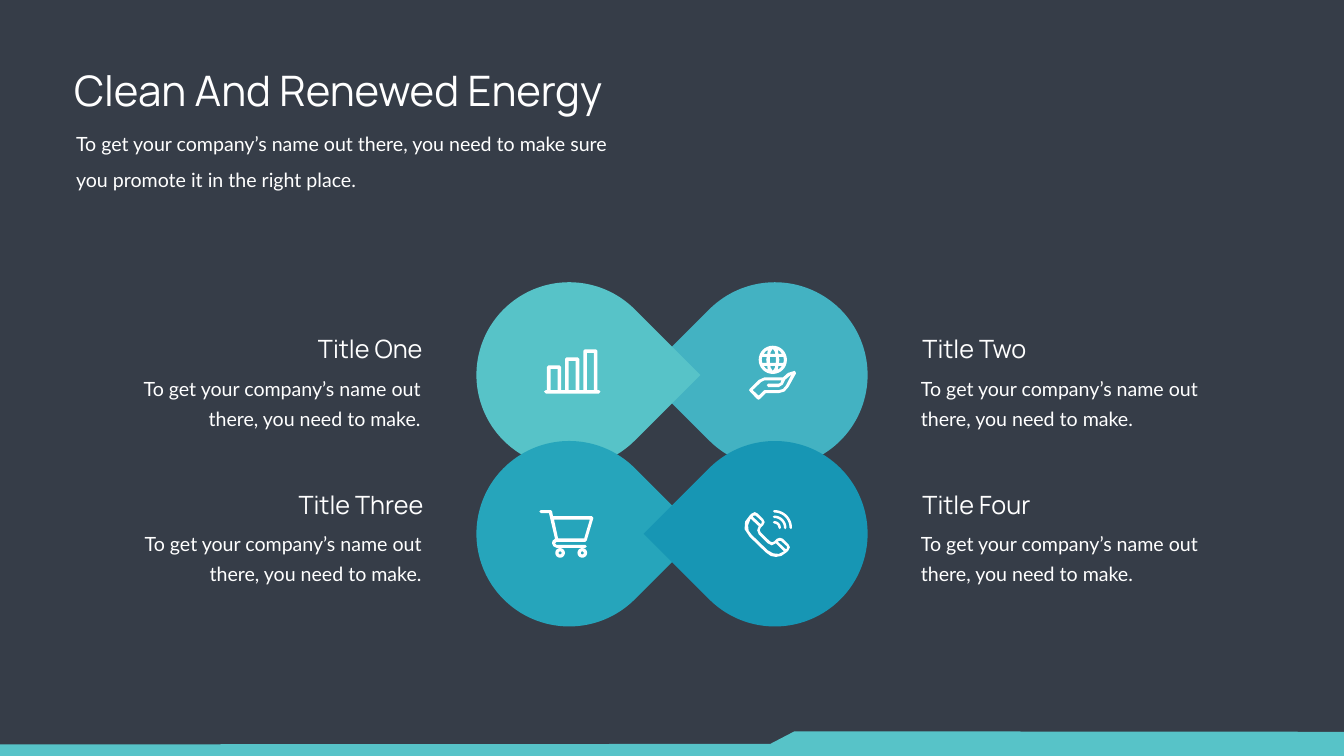
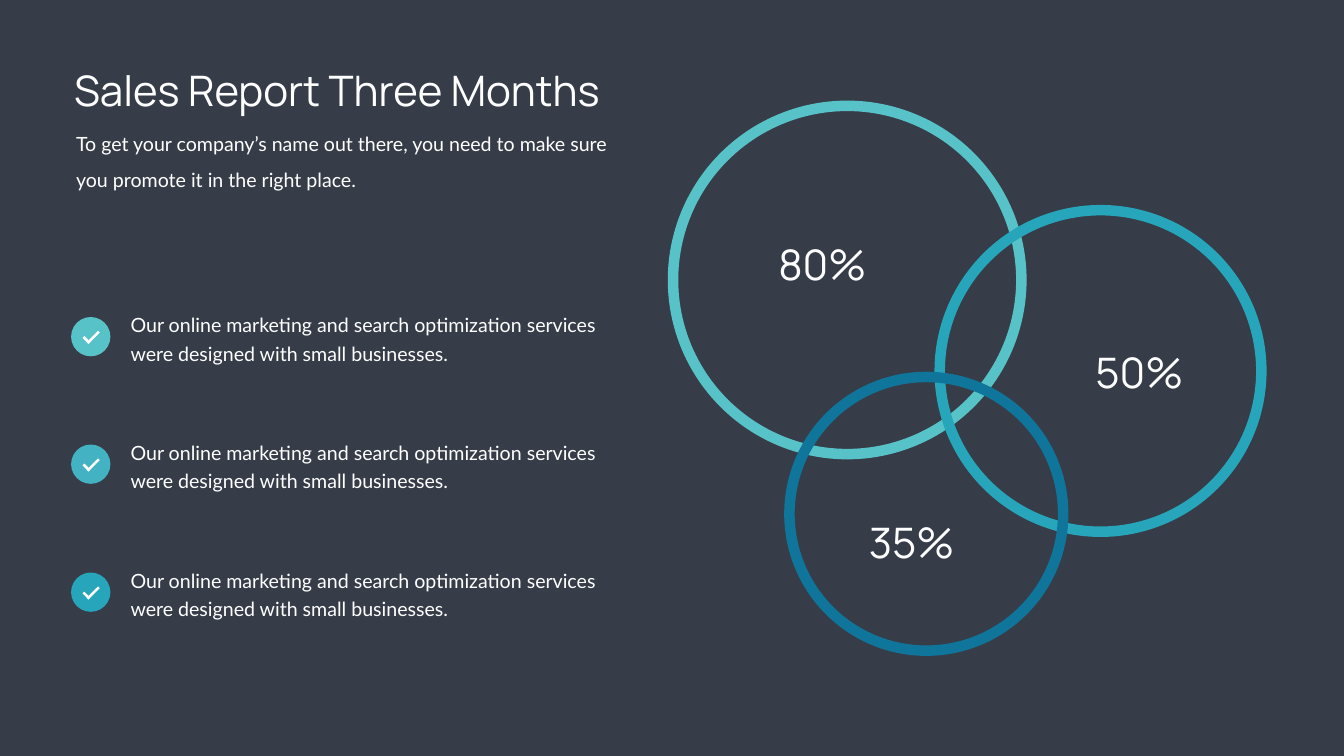
from math import cos, pi, sin

from pptx import Presentation
from pptx.dml.color import RGBColor
from pptx.enum.shapes import MSO_SHAPE
from pptx.enum.text import MSO_ANCHOR, MSO_AUTO_SIZE, PP_ALIGN
from pptx.util import Pt

PX = 9144
WIDTH, HEIGHT = 2666, 1500
LEFT, RIGHT, CENTER = PP_ALIGN.LEFT, PP_ALIGN.RIGHT, PP_ALIGN.CENTER
TOP, GROW = MSO_ANCHOR.TOP, MSO_AUTO_SIZE.SHAPE_TO_FIT_TEXT
OVAL, DROP, RECT = MSO_SHAPE.OVAL, MSO_SHAPE.TEAR, MSO_SHAPE.RECTANGLE

DARK = RGBColor(0x36, 0x3D, 0x48)
WHITE = RGBColor(0xFF, 0xFF, 0xFF)
MINT = RGBColor(0x57, 0xC3, 0xC8)
AQUA = RGBColor(0x43, 0xB2, 0xC2)
TEAL = RGBColor(0x26, 0xA5, 0xBB)
BLUE = RGBColor(0x17, 0x96, 0xB4)
NAVY = RGBColor(0x10, 0x75, 0x9B)

HEAD = {"name": "Manrope", "size": Pt(60)}
LABEL = {"name": "Manrope", "size": Pt(36)}
BODY = {"name": "Lato", "size": Pt(28)}

INTRO = ("To get your company’s name out there, you need to make sure "
         "you promote it in the right place.")
BLURB = "To get your company’s name out there, you need to make."
POINT = ("Our online marketing and search optimization services "
         "were designed with small businesses.")

PHONE = [
    [(1553, 1069), (1547, 1067), (1541, 1069), (1536, 1074), (1532, 1076),
     (1527, 1074), (1509, 1056), (1507, 1052), (1509, 1047), (1514, 1042),
     (1517, 1036), (1514, 1030), (1503, 1019), (1497, 1016), (1491, 1019),
     (1487, 1023), (1478, 1035), (1477, 1050), (1487, 1065), (1519, 1096),
     (1529, 1103), (1539, 1105), (1550, 1103), (1560, 1096), (1564, 1092),
     (1567, 1086), (1564, 1080)],
    [(1523, 1092), (1491, 1061), (1485, 1053), (1484, 1042), (1489, 1029),
     (1505, 1044), (1502, 1052), (1505, 1060), (1523, 1078), (1531, 1082),
     (1539, 1078), (1555, 1094), (1545, 1099), (1534, 1098)],
    [(1495, 1023), (1499, 1023), (1511, 1034), (1511, 1038), (1509, 1040),
     (1493, 1025)],
    [(1549, 1073), (1561, 1084), (1561, 1088), (1559, 1090), (1543, 1075),
     (1545, 1073)],
]
CART = [
    [(1104, 1075), (1161, 1075), (1164, 1072), (1177, 1028), (1176, 1026),
     (1174, 1024), (1097, 1024), (1095, 1014), (1092, 1012), (1073, 1012),
     (1070, 1015), (1073, 1018), (1089, 1018), (1101, 1069), (1096, 1073),
     (1095, 1078), (1098, 1084), (1104, 1087), (1161, 1087), (1164, 1084),
     (1161, 1081), (1104, 1081), (1101, 1078)],
    [(1170, 1031), (1159, 1068), (1107, 1068), (1099, 1031)],
]
HAND = [
    [(1578, 738), (1576, 736), (1563, 740), (1553, 749), (1516, 749),
     (1505, 754), (1487, 772), (1486, 774), (1487, 776), (1502, 792),
     (1505, 793), (1507, 792), (1519, 780), (1545, 780), (1556, 777),
     (1564, 768), (1579, 741)],
    [(1559, 765), (1553, 772), (1545, 774), (1517, 774), (1515, 775),
     (1505, 785), (1493, 774), (1510, 758), (1516, 755), (1550, 755),
     (1548, 760), (1545, 761), (1524, 761), (1521, 764), (1524, 768),
     (1545, 768), (1553, 763), (1558, 753), (1570, 743)],
]


def arc(x, y, r, start=0, end=2 * pi, steps=32):
    """Return points along a circular arc."""
    turns = [start + (end - start) * i / steps for i in range(steps + 1)]
    return [(x + r * cos(t), y + r * sin(t)) for t in turns]


def block(x, y, w, h):
    """Return the corners of a rectangle."""
    return [(x, y), (x + w, y), (x + w, y + h), (x, y + h)]


def wave(x, y, r):
    """Return a quarter band with pointed ends."""
    outer = arc(x, y, r, -pi / 2, 0)
    inner = arc(x, y, r - 5, 0, -pi / 2)
    return outer + [(x + r - 2, y + 3)] + inner + [(x - 3, y - r + 2)]


def globe(x, y):
    """Return the rim of a globe and the gaps in its grid."""
    gaps = [block(-6, -6, 12, 12)]
    for s in (-1, 1):
        gaps.append([(s * a, b) for a, b in (
            (21, 6), (22, 0), (21, -6), (12, -6), (13, 0), (12, 6))])
        gaps.append([(a, s * b) for a, b in (
            (-5, 12), (-4, 16), (0, 22), (4, 16), (5, 12))])
        for t in (-1, 1):
            gaps.append([(s * a, t * b) for a, b in (
                (9, 20), (10, 19), (11, 12), (18, 12), (14, 17))])
    return [arc(x, y, 28)] + [[(x + a, y + b) for a, b in g] for g in gaps]


def bars():
    """Return the outline of a bar chart sign and its gaps."""
    edge, gaps = [(1079, 777), (1083, 774)], []
    for i in range(3):
        x, y = 1085 + 36 * i, 725 - 16 * i
        edge += [(x, 774), (x, y + 3), (x + 3, y), (x + 25, y),
                 (x + 28, y + 3), (x + 28, 774)]
        gaps.append(block(x + 7, y + 7, 14, 767 - y))
    return [edge + [(1188, 774), (1191, 777), (1188, 781), (1083, 781)]] + gaps


class Deck:
    """Hold the shared style and the current slide."""

    def __init__(self):
        """Set up the size and the dark ground."""
        self.prs = Presentation()
        self.prs.slide_width, self.prs.slide_height = WIDTH * PX, HEIGHT * PX
        ground = self.prs.slide_master.background.fill
        ground.solid()
        ground.fore_color.rgb = DARK

    def page(self, title):
        """Add a slide with its title and intro."""
        layout = self.prs.slide_layouts[5]
        self.slide = self.prs.slides.add_slide(layout)
        self.shapes = self.slide.shapes
        head = self.shapes.title
        spots = zip(("left", "top", "width", "height"), (137, 123, 1395, 111))
        for key, val in spots:
            setattr(head, key, val * PX)
        self.fit(head, title, HEAD)
        self.text((141, 234, 1121, 142), INTRO, BODY, line_spacing=1.5)

    def fit(self, shape, words, font, pad=None, **para):
        """Fill a text frame and format it."""
        frame = shape.text_frame
        look = {"word_wrap": True, "auto_size": GROW, "vertical_anchor": TOP}
        if pad:
            for side, val in zip(("left", "top", "right", "bottom"), pad):
                look["margin_" + side] = val * PX
        frame.text = words
        line = frame.paragraphs[0]
        rules = {"alignment": LEFT, **para}
        for part, vals in ((frame, look), (line, rules), (line.font, font)):
            for key, val in vals.items():
                setattr(part, key, val)
        line.font.color.rgb = WHITE

    def text(self, box, words, font, **opts):
        """Add a text box."""
        shape = self.shapes.add_textbox(*(v * PX for v in box))
        self.fit(shape, words, font, **opts)

    def paint(self, shape, fill):
        """Give a shape a flat fill with no line or shadow."""
        shape.shadow.inherit = False
        shape.fill.solid()
        shape.fill.fore_color.rgb = fill
        shape.line.fill.background()

    def shape(self, kind, box, fill, turn=0):
        """Add a filled preset shape."""
        form = self.shapes.add_shape(kind, *(v * PX for v in box))
        form.rotation = turn
        self.paint(form, fill)

    def ring(self, x, y, size, color):
        """Add an open circle."""
        form = self.shapes.add_shape(OVAL, *(v * PX for v in (x, y, size, size)))
        form.shadow.inherit = False
        form.fill.background()
        form.line.color.rgb = color
        form.line.width = Pt(15)

    def free(self, loops, fill=WHITE):
        """Add one outline made of closed loops."""
        loops = [[(x * PX, y * PX) for x, y in loop] for loop in loops]
        pen = self.shapes.build_freeform(*loops[0][0])
        for i, loop in enumerate(loops):
            if i:
                pen.move_to(*loop[0])
            pen.add_line_segments(loop[1:], close=True)
        self.paint(pen.convert_to_shape(), fill)

    def topic(self, x, y, wide, name, side):
        """Add a label with its blurb."""
        shift = -186 if side == RIGHT else -3
        slim = 410 if side == RIGHT else 368
        self.text((x, y, slim, 71), name, LABEL, alignment=side)
        self.text((x + shift, y + 72, wide, 125), BLURB, BODY,
                  alignment=side, line_spacing=Pt(43))

    def check(self, y, color):
        """Add a ticked point."""
        self.text((235, y - 30, 1028, 133), POINT, BODY,
                  pad=(24, 12, 24, 12), line_spacing=Pt(40.8))
        self.shape(OVAL, (141, y, 78, 78), color)
        self.shape(RECT, (163, y + 43, 17, 5), WHITE, 45)
        self.shape(RECT, (169, y + 38, 32, 5), WHITE, 315)


def energy(deck):
    """Build the four-petal slide."""
    deck.page("Clean And Renewed Energy")
    deck.free([[(0, 1500), (WIDTH, 1500), (WIDTH, 1452), (1576, 1451),
                (1528, 1476), (0, 1477)]], MINT)
    for x, y, color, turn in ((1353, 560, AQUA, 225), (945, 560, MINT, 45),
                              (945, 875, TEAL, 45), (1353, 875, BLUE, 225)):
        deck.shape(DROP, (x, y, 368, 368), color, turn)
    for x, y, wide, name, side in (
            (438, 657, 592, "Title One", RIGHT),
            (440, 966, 592, "Title Three", RIGHT),
            (1820, 657, 612, "Title Two", LEFT),
            (1820, 966, 612, "Title Four", LEFT)):
        deck.topic(x, y, wide, name, side)
    deck.free(PHONE)
    for r in (35, 24, 13):
        deck.free([wave(1536, 1047, r)])
    deck.free(CART)
    for x in (1111, 1155):
        deck.free([arc(x, 1097, 9.5), arc(x, 1097, 3)])
    deck.free(HAND)
    deck.free(globe(1533, 714))
    deck.free(bars())


def sales(deck):
    """Build the three-ring slide."""
    deck.page("Sales Report Three Months")
    for x, y, size, color in ((1335, 210, 691, MINT), (1864, 417, 638, TEAL),
                              (1566, 748, 543, NAVY)):
        deck.ring(x, y, size, color)
    for x, y, share in ((1465, 453, "80%"), (2094, 667, "50%"),
                        (1642, 1004, "35%")):
        deck.text((x, y, 332, 129), share, HEAD, pad=(0, 0, 0, 0),
                  alignment=CENTER, line_spacing=1.2)
    for i, color in enumerate((MINT, AQUA, TEAL)):
        deck.check(629 + 507 * i // 2, color)


def main():
    """Build and save the deck."""
    deck = Deck()
    energy(deck)
    sales(deck)
    deck.prs.save("out.pptx")


if __name__ == "__main__":
    main()
